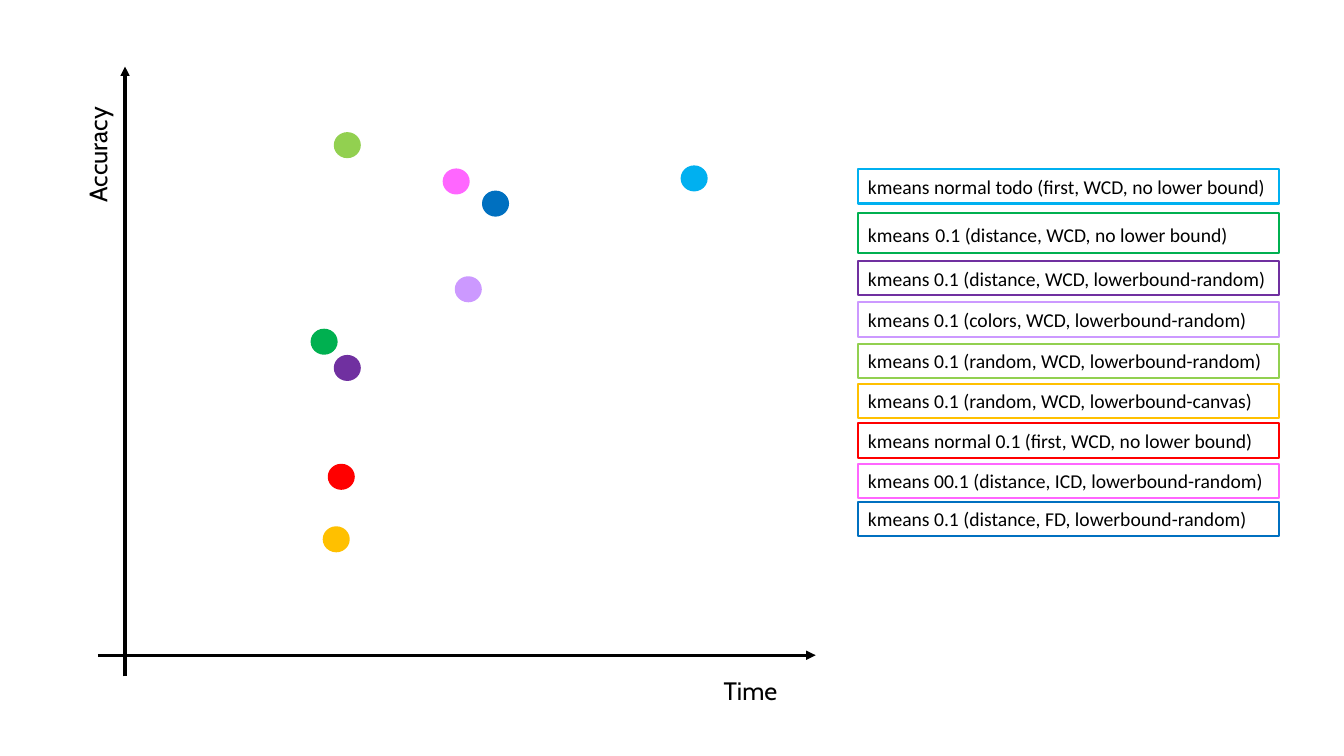
from pptx import Presentation
from pptx.dml.color import RGBColor
from pptx.enum.shapes import MSO_CONNECTOR, MSO_SHAPE
from pptx.enum.text import MSO_ANCHOR, PP_ALIGN
from pptx.oxml.ns import qn
from pptx.util import Inches, Pt
from lxml import etree

OVAL, RECT = MSO_SHAPE.OVAL, MSO_SHAPE.RECTANGLE
STRAIGHT, LEFT, TOP, MIDDLE = (MSO_CONNECTOR.STRAIGHT, PP_ALIGN.LEFT,
                               MSO_ANCHOR.TOP, MSO_ANCHOR.MIDDLE)

# Content
HUES = {"black": "000000", "white": "FFFFFF", "sky": "00B0F0",
        "green": "00B050", "purple": "7030A0", "lilac": "CC99FF",
        "lime": "92D050", "gold": "FFC000", "red": "FF0000",
        "pink": "FF66FF", "blue": "0070C0"}

# hue, dot left and top, key top, key text
RUNS = [
    ("sky", 6.77, 1.66, 1.68, "kmeans normal todo (first, WCD, no lower bound)"),
    ("green", 3.1, 3.28, 2.11, "kmeans 0.1 (distance, WCD, no lower bound)"),
    ("purple", 3.33, 3.54, 2.59, "kmeans 0.1 (distance, WCD, lowerbound-random)"),
    ("lilac", 4.53, 2.76, 3.0, "kmeans 0.1 (colors, WCD, lowerbound-random)"),
    ("lime", 3.33, 1.33, 3.41, "kmeans 0.1 (random, WCD, lowerbound-random)"),
    ("gold", 3.22, 5.24, 3.81, "kmeans 0.1 (random, WCD, lowerbound-canvas)"),
    ("red", 3.27, 4.62, 4.2, "kmeans normal 0.1 (first, WCD, no lower bound)"),
    ("pink", 4.41, 1.69, 4.6, "kmeans 00.1 (distance, ICD, lowerbound-random)"),
    ("blue", 4.8, 1.91, 4.98, "kmeans 0.1 (distance, FD, lowerbound-random)"),
]
TALL = "green"  # its first gap is set larger
AXES = [(1.24, 6.71, 1.24, 0.66), (0.97, 6.5, 8.09, 6.5)]
NAMES = [("Time", 7.08, 6.65, 0), ("Accuracy", 0.25, 1.19, 270)]

# Sizes
DOT = (0.23, 0.22)
KEY_X, KEY_W, KEY_H, TALL_H = 8.51, 4.18, 0.34, 0.4
NAME = (1.43, 0.4)
KEY_FONT = {"name": "Calibri", "size": Pt(14)}
NAME_FONT = {"name": "Cabin", "size": Pt(18)}

deck = Presentation()
deck.slide_width, deck.slide_height = Inches(13.33), Inches(7.5)
slide = deck.slides.add_slide(deck.slide_layouts[6])


def hue(name):
    return RGBColor.from_string(HUES[name])


def box(kind, at, edge, width, fill=None):
    shape = slide.shapes.add_shape(kind, *map(Inches, at))
    shape.shadow.inherit = False
    if fill:
        shape.fill.solid()
        shape.fill.fore_color.rgb = hue(fill)
    else:
        shape.fill.background()
    shape.line.color.rgb = hue(edge)
    shape.line.width = Pt(width)
    return shape


def write(shape, parts, look, anchor):
    frame = shape.text_frame
    frame.word_wrap = True
    frame.vertical_anchor = anchor
    para = frame.paragraphs[0]
    para.alignment = LEFT
    for text, size in parts:
        run = para.add_run()
        run.text = text
        for key, value in {**look, "size": size}.items():
            setattr(run.font, key, value)
        run.font.color.rgb = hue("black")


# Background
slide.background.fill.solid()
slide.background.fill.fore_color.rgb = hue("white")

# Dots and their keys
for tint, x, y, top, text in RUNS:
    box(OVAL, (x, y, *DOT), tint, 2.75, tint)
    size = KEY_FONT["size"]
    parts, high = [(text, size)], KEY_H
    if tint == TALL:
        head, rest = text.split(" ", 1)
        parts, high = [(head, size), (" ", Pt(18)), (rest, size)], TALL_H
    key = box(RECT, (KEY_X, top, KEY_W, high), tint, 1.5)
    write(key, parts, KEY_FONT, MIDDLE)

# Axes
for ends in AXES:
    axis = slide.shapes.add_connector(STRAIGHT, *map(Inches, ends))
    axis.line.color.rgb = hue("black")
    axis.line.width = Pt(2.25)
    etree.SubElement(axis.line._get_or_add_ln(), qn("a:tailEnd"), type="triangle")
    etree.SubElement(axis._element.spPr, qn("a:effectLst"))

# Axis names
for text, x, y, turn in NAMES:
    label = slide.shapes.add_textbox(*map(Inches, (x, y, *NAME)))
    label.rotation = turn
    write(label, [(text, NAME_FONT["size"])], NAME_FONT, TOP)

deck.save("out.pptx")
